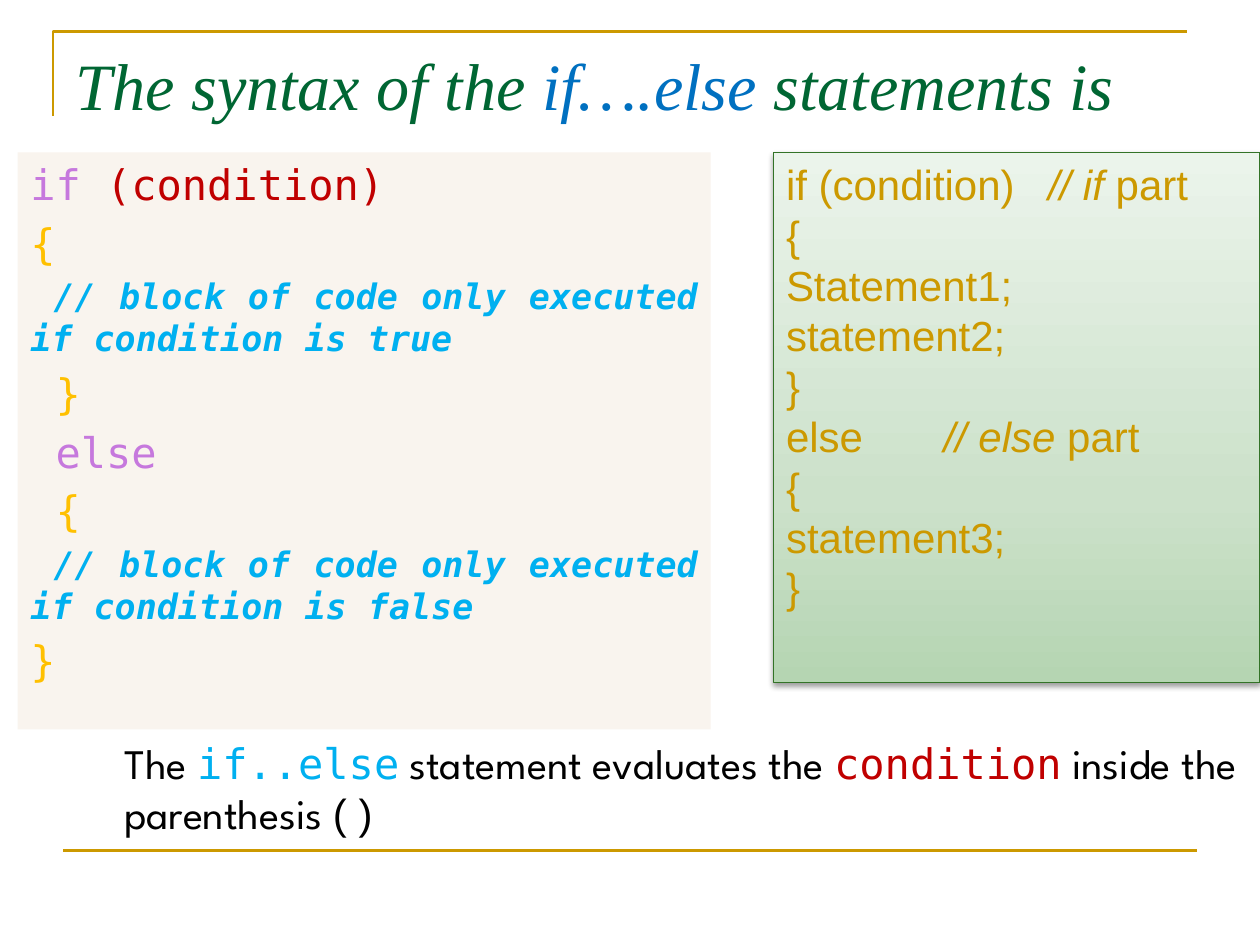
"""Build a slide that explains the syntax of if…else statements."""
from typing import NamedTuple

import pptx
import pptx.dml.color
import pptx.enum.shapes
import pptx.enum.text
import pptx.oxml
import pptx.oxml.ns
import pptx.util

COLUMNS, ROWS = 100, 75
CELL = pptx.util.Inches(0.1)
CODE, SANS, SERIF, ROUND = "DejaVu Sans Mono", "Arial", "Times New Roman", "League Spartan"
COLORS = {
    "gold": "CC9900", "green": "006633", "blue": "0070C0", "sky": "00B0F0",
    "purple": "C678DD", "red": "C00000", "yellow": "FFC000", "black": "000000",
    "cream": "F9F4EE", "edge": "337327",
}
GRADIENT = ((0, "B5D5B2"), (35, "CCE1CA"), (100, "EBF4EB"))
TAB_STOPS = (1.25, 2.08)
ALIGN = pptx.enum.text.PP_ALIGN


class Area(NamedTuple):
    left: float
    top: float
    width: float
    height: float


class Span(NamedTuple):
    text: str
    color: str
    font: str = CODE
    size: float = 24
    bold: bool = False
    italic: bool = False


def grid(count: float) -> int:
    return round(count * CELL)


def color(name: str) -> pptx.dml.color.RGBColor:
    return pptx.dml.color.RGBColor.from_string(COLORS[name])


def element(tag: str, content: str, attributes: str = ""):
    namespace = pptx.oxml.ns.nsdecls("a")
    return pptx.oxml.parse_xml(f"<a:{tag} {namespace} {attributes}>{content}</a:{tag}>")


def place(box, area: Area) -> None:
    box.left, box.top, box.width, box.height = map(grid, area)


def write(box, paragraphs: list[list[Span]], align=ALIGN.LEFT) -> None:
    frame = box.text_frame
    frame.word_wrap = True
    frame.auto_size = pptx.enum.text.MSO_AUTO_SIZE.NONE
    frame.vertical_anchor = pptx.enum.text.MSO_ANCHOR.TOP
    for number, spans in enumerate(paragraphs):
        para = frame.add_paragraph() if number else frame.paragraphs[0]
        para.alignment = align
        for span in spans:
            run = para.add_run()
            run.text = span.text
            font = run.font
            font.name, font.size = span.font, pptx.util.Pt(span.size)
            font.bold, font.italic = span.bold, span.italic
            font.color.rgb = color(span.color)


def rule_style(line) -> None:
    line.color.rgb = color("gold")
    line.width = pptx.util.Pt(1.5)


def add_rules(page) -> None:
    builder = page.shapes.build_freeform(grid(4.2), grid(9.2))
    builder.add_line_segments([(grid(4.2), grid(2.5)), (grid(94.2), grid(2.5))], close=False)
    corner = builder.convert_to_shape()
    corner.shadow.inherit = False
    corner.fill.background()
    rule_style(corner.line)
    footer = page.shapes.add_connector(
        pptx.enum.shapes.MSO_CONNECTOR.STRAIGHT, grid(5), grid(67.5), grid(95), grid(67.5))
    footer._element.spPr.append(element("effectLst", ""))
    rule_style(footer.line)


def add_title(page) -> None:
    box = page.shapes.title
    place(box, Area(5, 3, 90, 12.5))
    write(box, [[Span(text, name, SERIF, 37.8, italic=True) for text, name in (
        ("The syntax of the ", "green"), ("if….else ", "blue"), ("statements is", "green"))]])


def comment(outcome: str) -> list[Span]:
    text = f" // block of code only executed if condition is {outcome}"
    return [Span(text, "sky", size=20, bold=True, italic=True)]


def add_syntax(page) -> None:
    box = page.placeholders[1]
    place(box, Area(1.4, 12.1, 55, 45.8))
    box.fill.solid()
    box.fill.fore_color.rgb = color("cream")
    write(box, [
        [Span("if ", "purple"), Span("(condition)", "red")],
        [Span("{", "yellow")],
        comment("true"),
        [Span(" }", "yellow")],
        [Span(" else", "purple")],
        [Span(" {", "yellow")],
        comment("false"),
        [Span("}", "yellow")],
    ], ALIGN.JUSTIFY)
    for para in box.text_frame.paragraphs:
        properties = para._p.get_or_add_pPr()
        properties.set("marL", "0")
        properties.set("indent", "0")
        properties.append(element("buNone", ""))


def add_example(page) -> None:
    box = page.shapes.add_shape(pptx.enum.shapes.MSO_SHAPE.RECTANGLE,
                                *map(grid, Area(61.4, 12.1, 38.6, 42.1)))
    box.line.color.rgb = color("edge")
    box.line.width = pptx.util.Pt(0.75)
    stops = "".join(f'<a:gs pos="{share * 1000}"><a:srgbClr val="{value}"/></a:gs>'
                    for share, value in GRADIENT)
    properties = box._element.spPr
    properties.insert(2, element("gradFill", f'<a:gsLst>{stops}</a:gsLst><a:lin ang="16200000"/>'))
    blur, distance = pptx.util.Pt(3.1), pptx.util.Pt(1.6)
    properties.append(element("effectLst", (
        f'<a:outerShdw blurRad="{blur}" dist="{distance}" dir="5400000" rotWithShape="0">'
        f'<a:srgbClr val="{COLORS["black"]}"><a:alpha val="38000"/></a:srgbClr></a:outerShdw>')))

    def plain(text: str, italic: bool = False) -> Span:
        return Span(text, "gold", SANS, italic=italic)

    def branch(head: str, word: str) -> list[Span]:
        return [plain(f"{head}\t"), plain(f"// {word} ", True), plain("part")]

    write(box, [
        branch("if (condition)", "if"),
        *([plain(text)] for text in ("{", "Statement1;", "statement2;", "}")),
        branch("else", "else"),
        *([plain(text)] for text in ("{", "statement3;", "}")),
    ])
    tabs = "".join(f'<a:tab pos="{pptx.util.Inches(stop)}" algn="l"/>' for stop in TAB_STOPS)
    for para in box.text_frame.paragraphs:
        if "\t" in para.text:
            para._p.get_or_add_pPr().append(element("tabLst", tabs))


def add_explanation(page) -> None:
    box = page.shapes.add_textbox(*map(grid, Area(8.9, 58, 93.6, 9.1)))
    write(box, [[
        Span("The ", "black", ROUND), Span("if..else", "sky"),
        Span(" statement evaluates the ", "black", ROUND), Span("condition", "red"),
        Span(" inside the parenthesis ", "black", ROUND), Span("( )", "black", SANS),
    ]])


def main() -> None:
    deck = pptx.Presentation()
    deck.slide_width, deck.slide_height = grid(COLUMNS), grid(ROWS)
    page = deck.slides.add_slide(deck.slide_layouts[1])
    for draw in (add_rules, add_title, add_syntax, add_example, add_explanation):
        draw(page)
    deck.save("out.pptx")


if __name__ == "__main__":
    main()
